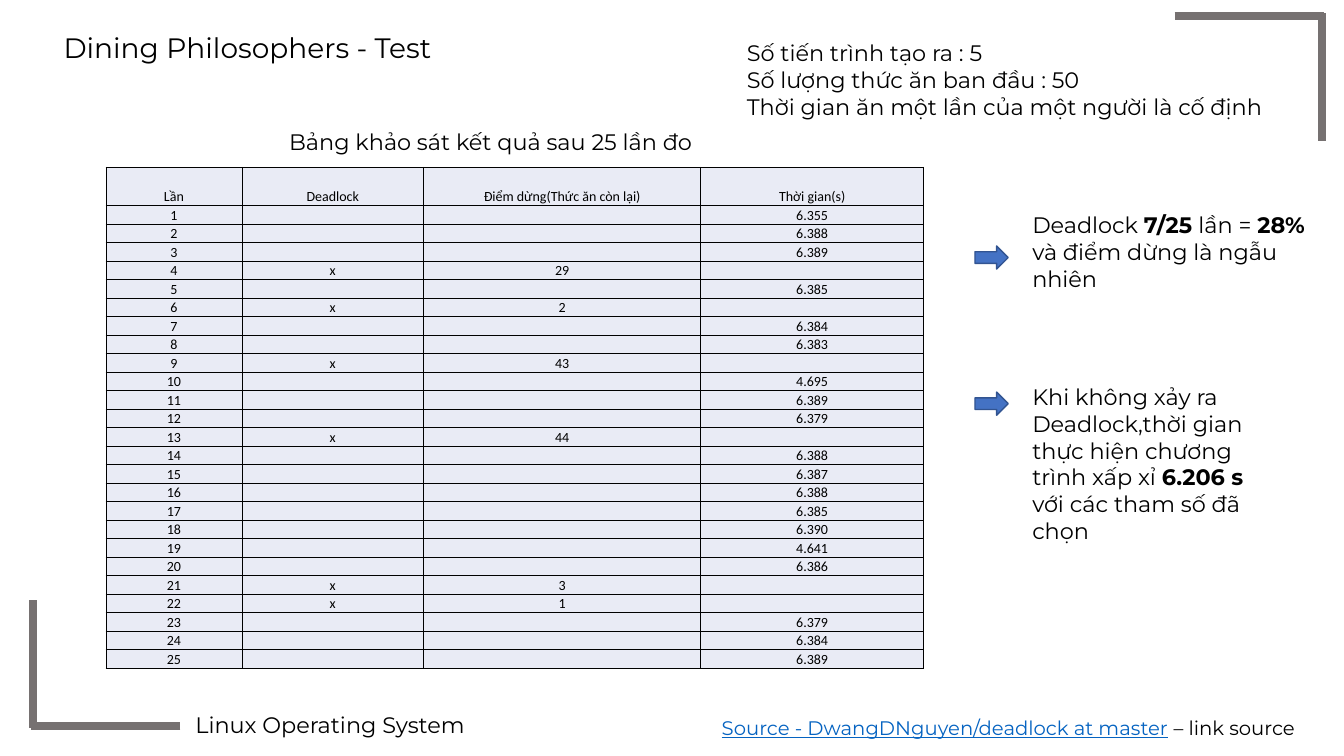
from dataclasses import dataclass

from lxml import etree
from pptx import Presentation
from pptx.dml.color import RGBColor
from pptx.enum.shapes import MSO_CONNECTOR, MSO_SHAPE
from pptx.enum.text import MSO_ANCHOR, MSO_AUTO_SIZE, PP_ALIGN
from pptx.oxml.ns import qn
from pptx.util import Inches, Pt

STRAIGHT = MSO_CONNECTOR.STRAIGHT
RIGHT_ARROW = MSO_SHAPE.RIGHT_ARROW
TOP, BOTTOM = MSO_ANCHOR.TOP, MSO_ANCHOR.BOTTOM
LEFT, CENTER = PP_ALIGN.LEFT, PP_ALIGN.CENTER
FIT_SHAPE = MSO_AUTO_SIZE.SHAPE_TO_FIT_TEXT


@dataclass(frozen=True)
class Theme:
    font: str = "Montserrat"
    table_font: str = "Calibri"
    text: str = "000000"
    link: str = "0563C1"
    bracket: str = "767171"
    arrow: str = "4472C4"
    arrow_line: str = "325491"
    cell: str = "E9EBF5"
    border: str = "000000"
    title_size: int = 20
    body_size: int = 16
    link_size: int = 14
    table_size: int = 10


THEME = Theme()

BRACKET_LINES = [
    (11.65, 0.16, 13.13, 0.16),
    (13.11, 0.13, 13.11, 1.4),
    (1.79, 7.2, 0.31, 7.2),
    (0.33, 7.22, 0.33, 5.95),
]
HEADERS = ["Lần", "Deadlock", "Điểm dừng(Thức ăn còn lại)", "Thời gian(s)"]
COLUMN_WIDTHS = [1.35, 1.8, 2.75, 2.21]
HEADER_HEIGHT, TABLE_HEIGHT = 0.38, 4.97
RUN_COUNT = 25
STOP_POINTS = {4: "29", 6: "2", 9: "43", 13: "44", 21: "3", 22: "1"}
TIMES = iter(
    "6.355 6.388 6.389 6.385 6.384 6.383 4.695 6.389 6.379 6.388 "
    "6.387 6.388 6.385 6.390 4.641 6.386 6.379 6.384 6.389".split()
)


def style_font(font, size, name=THEME.font, color=THEME.text):
    font.size = Pt(size)
    font.name = name
    font.color.rgb = RGBColor.from_string(color)


def add_title(s, text, box):
    title = s.shapes.title
    title.left, title.top, title.width, title.height = map(Inches, box)
    tf = title.text_frame
    tf.text = text
    tf.vertical_anchor = TOP
    tf.auto_size = FIT_SHAPE
    p = tf.paragraphs[0]
    p.alignment = LEFT
    style_font(p.runs[0].font, THEME.title_size)


def add_text(s, text, box, size=THEME.body_size):
    """Add a text box; every second part between ** marks is bold."""
    tf = s.shapes.add_textbox(*map(Inches, box)).text_frame
    tf.word_wrap = True
    tf.auto_size = FIT_SHAPE
    for i, line in enumerate(text.split("\n")):
        p = tf.add_paragraph() if i else tf.paragraphs[0]
        for j, part in enumerate(line.split("**")):
            r = p.add_run()
            r.text = part
            style_font(r.font, size)
            r.font.bold = j % 2 == 1
    return tf


def add_source_line(s, link, rest, box):
    tf = add_text(s, link, box, THEME.link_size)
    p = tf.paragraphs[0]
    style_font(p.runs[0].font, THEME.link_size, color=THEME.link)
    p.runs[0].font.underline = True
    r = p.add_run()
    r.text = rest
    style_font(r.font, THEME.link_size)


def add_bracket_line(s, ends):
    line = s.shapes.add_connector(STRAIGHT, *map(Inches, ends))
    line.line.color.rgb = RGBColor.from_string(THEME.bracket)
    line.line.width = Pt(6)
    etree.SubElement(line._element.spPr, qn("a:effectLst"))


def add_arrow(s, left, top):
    arrow = s.shapes.add_shape(
        RIGHT_ARROW, Inches(left), Inches(top), Inches(0.33), Inches(0.23)
    )
    arrow.shadow.inherit = False
    arrow.fill.solid()
    arrow.fill.fore_color.rgb = RGBColor.from_string(THEME.arrow)
    arrow.line.color.rgb = RGBColor.from_string(THEME.arrow_line)
    arrow.line.width = Pt(1)


def add_borders(cell):
    tc_pr = cell._tc.get_or_add_tcPr()
    for side in ("lnL", "lnR", "lnT", "lnB"):
        ln = etree.SubElement(tc_pr, qn(f"a:{side}"), w=str(Pt(0.5)))
        fill = etree.SubElement(ln, qn("a:solidFill"))
        etree.SubElement(fill, qn("a:srgbClr"), val=THEME.border)


def fill_cell(cell, text):
    add_borders(cell)
    cell.fill.solid()
    cell.fill.fore_color.rgb = RGBColor.from_string(THEME.cell)
    cell.margin_left = cell.margin_right = cell.margin_top = Inches(0.01)
    cell.margin_bottom = 0
    cell.vertical_anchor = BOTTOM
    p = cell.text_frame.paragraphs[0]
    p.alignment = CENTER
    if text:
        p.text = text
        style_font(p.runs[0].font, THEME.table_size, THEME.table_font)
    else:
        # The end mark's size keeps an empty row from growing.
        etree.SubElement(p._p, qn("a:endParaRPr"), sz=str(THEME.table_size * 100))


def result_rows():
    rows = [HEADERS]
    for n in range(1, RUN_COUNT + 1):
        if n in STOP_POINTS:
            rows.append([str(n), "x", STOP_POINTS[n], ""])
        else:
            rows.append([str(n), "", "", next(TIMES)])
    return rows


def add_results_table(s, left, top):
    rows = result_rows()
    table = s.shapes.add_table(
        len(rows), len(HEADERS), Inches(left), Inches(top),
        Inches(sum(COLUMN_WIDTHS)), Inches(TABLE_HEIGHT),
    ).table
    table.first_row = table.horz_banding = False
    for column, width in zip(table.columns, COLUMN_WIDTHS):
        column.width = Inches(width)
    row_height = (TABLE_HEIGHT - HEADER_HEIGHT) / RUN_COUNT
    for i, values in enumerate(rows):
        table.rows[i].height = Inches(row_height if i else HEADER_HEIGHT)
        for j, value in enumerate(values):
            fill_cell(table.cell(i, j), value)


def main():
    prs = Presentation()
    prs.slide_width, prs.slide_height = Inches(13.33), Inches(7.5)
    s = prs.slides.add_slide(prs.slide_layouts[5])
    for ends in BRACKET_LINES:
        add_bracket_line(s, ends)
    add_text(s, "Linux Operating System", (1.84, 7.01, 6.69, 0.37))
    add_title(s, "Dining Philosophers - Test", (0.53, 0.25, 4.39, 0.44))
    add_text(
        s,
        "Số tiến trình tạo ra : 5\nSố lượng thức ăn ban đầu : 50\n"
        "Thời gian ăn một lần của một người là cố định",
        (7.31, 0.34, 5.67, 0.91),
    )
    add_results_table(s, 1.05, 1.66)
    add_arrow(s, 9.67, 2.44)
    add_text(
        s,
        "Deadlock **7/25 **lần = **28% **và điểm dừng là ngẫu nhiên",
        (10.14, 2.05, 2.94, 0.91),
    )
    add_arrow(s, 9.67, 3.89)
    add_text(
        s,
        "Khi không xảy ra Deadlock,thời gian thực hiện chương trình xấp xỉ "
        "**6.206 s **với các tham số đã chọn",
        (10.14, 3.75, 2.64, 1.72),
    )
    add_text(s, "Bảng khảo sát kết quả sau 25 lần đo", (2.77, 1.22, 4.47, 0.37))
    add_source_line(
        s, "Source - DwangDNguyen/deadlock at master", " – link source",
        (7.06, 7.05, 6.67, 0.34),
    )
    prs.save("out.pptx")


if __name__ == "__main__":
    main()
